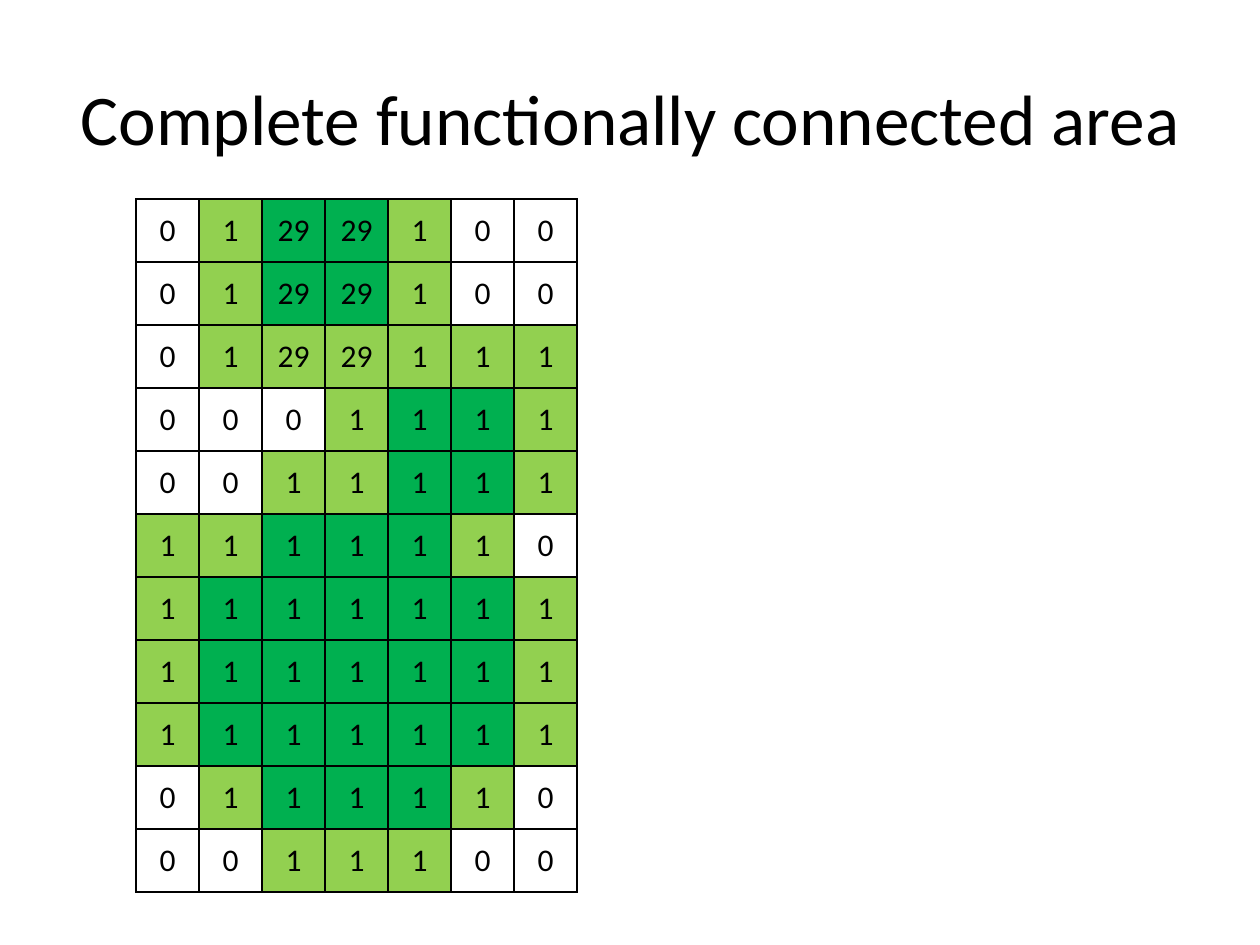
from dataclasses import dataclass
from typing import Optional

import lxml.etree
import pptx
import pptx.dml.color
import pptx.enum.text
import pptx.oxml.ns
import pptx.util

Inches = pptx.util.Inches
FONT = "Calibri"
BLACK = "000000"
LIGHT_GREEN = "92D050"
DARK_GREEN = "00B050"
CELL_SIZE = 0.5


@dataclass(frozen=True)
class CellKind:
    value: str
    fill: Optional[str] = None


KINDS = {
    ".": CellKind("0"),
    "e": CellKind("1", LIGHT_GREEN),
    "c": CellKind("1", DARK_GREEN),
    "E": CellKind("29", LIGHT_GREEN),
    "C": CellKind("29", DARK_GREEN),
}

AREA = [
    ".eCCe..",
    ".eCCe..",
    ".eEEeee",
    "...ecce",
    "..eecce",
    "eeccce.",
    "eccccce",
    "eccccce",
    "eccccce",
    ".eccce.",
    "..eee..",
]


def colour(value: str) -> pptx.dml.color.RGBColor:
    return pptx.dml.color.RGBColor.from_string(value)


def write_text(frame, text: str, *, size: float, color: str = BLACK) -> None:
    para = frame.paragraphs[0]
    para.alignment = pptx.enum.text.PP_ALIGN.CENTER
    span = para.add_run()
    span.text = text
    span.font.name = FONT
    span.font.size = pptx.util.Pt(size)
    span.font.color.rgb = colour(color)


def add_borders(cell, *, color: str = BLACK, width: float = 1) -> None:
    properties = cell._tc.get_or_add_tcPr()
    qn = pptx.oxml.ns.qn
    for position, side in enumerate(("lnL", "lnR", "lnT", "lnB")):
        line = lxml.etree.Element(qn(f"a:{side}"), w=str(pptx.util.Pt(width)))
        fill = lxml.etree.SubElement(line, qn("a:solidFill"))
        lxml.etree.SubElement(fill, qn("a:srgbClr"), val=color)
        properties.insert(position, line)


def format_cell(cell, kind: CellKind) -> None:
    cell.vertical_anchor = pptx.enum.text.MSO_ANCHOR.MIDDLE
    write_text(cell.text_frame, kind.value, size=18)
    if kind.fill:
        cell.fill.solid()
        cell.fill.fore_color.rgb = colour(kind.fill)
    else:
        cell.fill.background()
    add_borders(cell)


def add_area_table(page, left: float, top: float) -> None:
    row_count, column_count = len(AREA), len(AREA[0])
    table = page.shapes.add_table(
        row_count, column_count, Inches(left), Inches(top),
        Inches(column_count * CELL_SIZE), Inches(row_count * CELL_SIZE),
    ).table
    table.first_row = False
    table.horz_banding = False
    for row_index, codes in enumerate(AREA):
        for column_index, code in enumerate(codes):
            format_cell(table.cell(row_index, column_index), KINDS[code])


def set_title(page, text: str) -> None:
    title = page.shapes.title
    title.left, title.top = Inches(0.5), Inches(0.3)
    title.width, title.height = Inches(9), Inches(1.25)
    frame = title.text_frame
    frame.word_wrap = True
    frame.auto_size = pptx.enum.text.MSO_AUTO_SIZE.NONE
    frame.vertical_anchor = pptx.enum.text.MSO_ANCHOR.MIDDLE
    write_text(frame, text, size=40.7)


def main() -> None:
    deck = pptx.Presentation()
    deck.slide_width, deck.slide_height = Inches(10), Inches(7.5)
    page = deck.slides.add_slide(deck.slide_layouts[5])
    add_area_table(page, 1.08, 1.58)
    set_title(page, "Complete functionally connected area")
    deck.save("out.pptx")


main()
